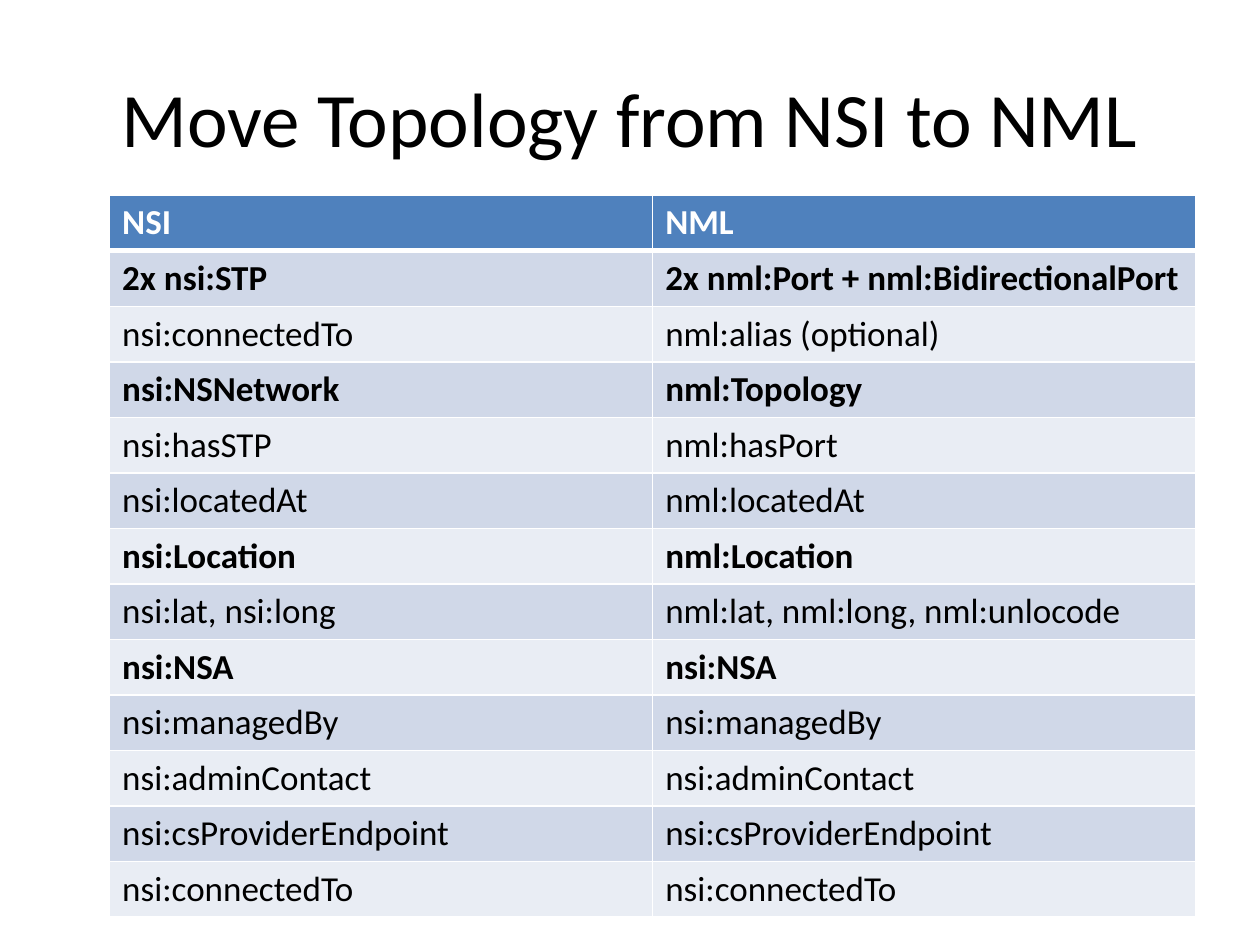
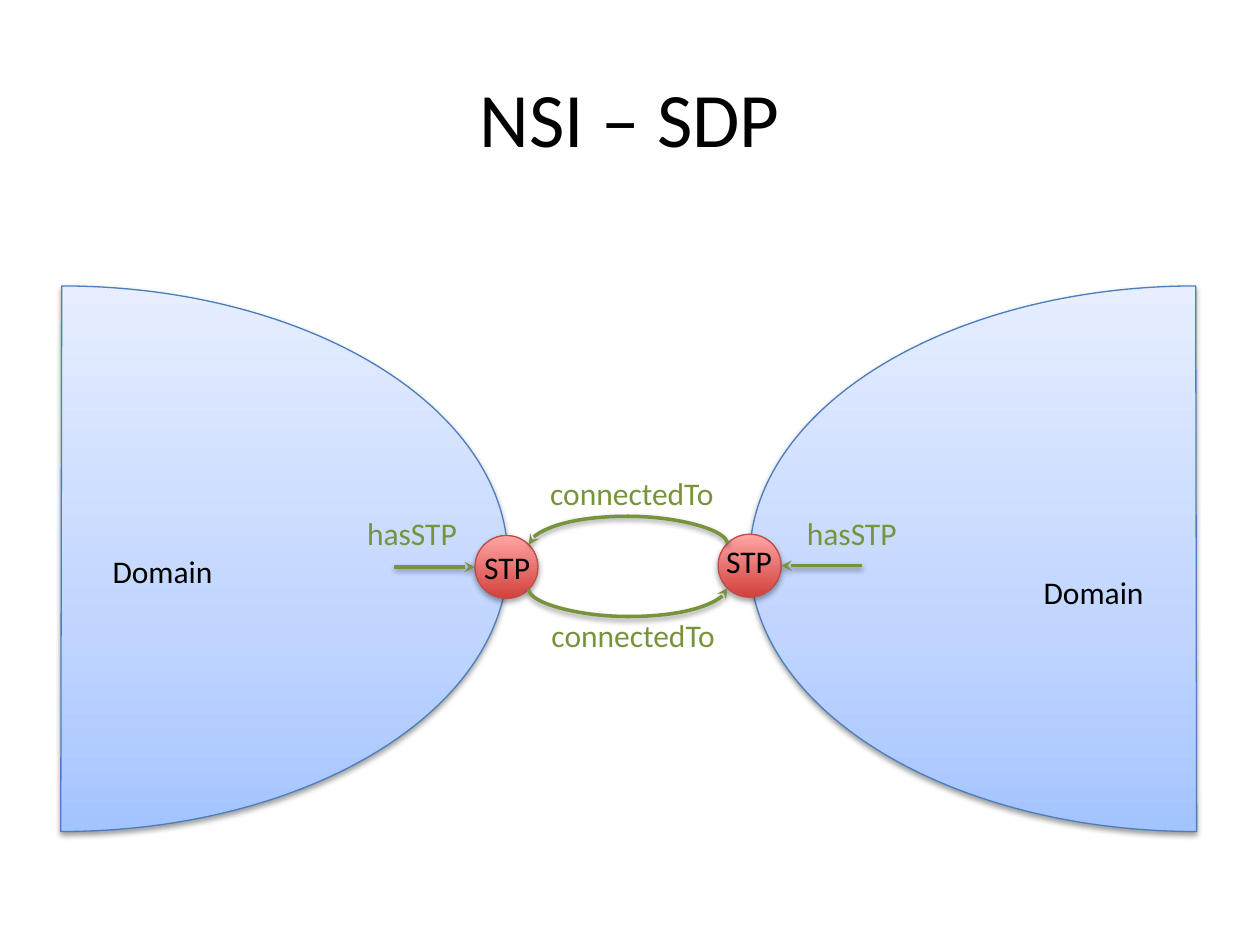
from copy import deepcopy
from dataclasses import dataclass
from math import sqrt

from lxml.etree import SubElement
from pptx import Presentation
from pptx.dml.color import RGBColor
from pptx.enum.shapes import MSO_CONNECTOR, MSO_SHAPE
from pptx.enum.text import MSO_ANCHOR, PP_ALIGN
from pptx.oxml.ns import qn
from pptx.util import Inches, Pt


@dataclass(frozen=True)
class Theme:
    font: str = "Calibri"
    title_size: int = 44
    table_size: int = 20
    label_size: int = 18
    text: str = "000000"
    white: str = "FFFFFF"
    header: str = "4F81BD"
    bands: tuple = ("D0D8E8", "E9EDF4")
    relation: str = "77933C"
    domain_fill: tuple = ((0, "A4C4FF"), (0.35, "BFD4FF"), (1, "E6EEFF"))
    domain_line: str = "4B7EBC"
    stp_fill: tuple = ((0, "D1403C"), (1, "FFA6A5"))
    stp_line: str = "BF4C48"


THEME = Theme()

# NSI term, NML term, whether the row names a class
MAPPING = [
    ("2x nsi:STP", "2x nml:Port + nml:BidirectionalPort", True),
    ("nsi:connectedTo", "nml:alias (optional)", False),
    ("nsi:NSNetwork", "nml:Topology", True),
    ("nsi:hasSTP", "nml:hasPort", False),
    ("nsi:locatedAt", "nml:locatedAt", False),
    ("nsi:Location", "nml:Location", True),
    ("nsi:lat, nsi:long", "nml:lat, nml:long, nml:unlocode", False),
    ("nsi:NSA", "nsi:NSA", True),
    ("nsi:managedBy", "nsi:managedBy", False),
    ("nsi:adminContact", "nsi:adminContact", False),
    ("nsi:csProviderEndpoint", "nsi:csProviderEndpoint", False),
    ("nsi:connectedTo", "nsi:connectedTo", False),
]

STP_SIZE = 0.5
DIAGONAL = STP_SIZE / 2 / sqrt(2)
# Connection sites of an ellipse, counted anticlockwise from the top
TOP_LEFT, LEFT, BOTTOM_LEFT, BOTTOM_RIGHT, RIGHT, TOP_RIGHT = 1, 2, 3, 5, 6, 7


def rgb(color):
    return RGBColor.from_string(color)


def write(frame, text, size=THEME.label_size, color=THEME.text, bold=False,
          align=PP_ALIGN.LEFT):
    paragraph = frame.paragraphs[0]
    paragraph.alignment = align
    run = paragraph.add_run()
    run.text = text
    run.font.name = THEME.font
    run.font.size = Pt(size)
    run.font.bold = bold
    run.font.color.rgb = rgb(color)


def add_label(slide, text, left, top, width, height=0.4, wrap=False, **style):
    box = slide.shapes.add_textbox(Inches(left), Inches(top), Inches(width), Inches(height))
    frame = box.text_frame
    frame.word_wrap = wrap
    write(frame, text, align=PP_ALIGN.CENTER, **style)
    return frame


def add_titled_slide(deck, title):
    slide = deck.slides.add_slide(deck.slide_layouts[6])
    frame = add_label(slide, title, 0.5, 0.3, 9, 1.25, wrap=True, size=THEME.title_size)
    frame.vertical_anchor = MSO_ANCHOR.MIDDLE
    return slide


def add_shadow(shape, distance=20000, opacity=38):
    properties = shape._element.spPr
    effects = properties.find(qn("a:effectLst"))
    if effects is None:
        effects = SubElement(properties, qn("a:effectLst"))
    shadow = SubElement(effects, qn("a:outerShdw"), blurRad="40000",
                        dist=str(distance), dir="5400000", rotWithShape="0")
    black = SubElement(shadow, qn("a:srgbClr"), val="000000")
    SubElement(black, qn("a:alpha"), val=str(opacity * 1000))


def add_gradient_shape(slide, kind, box, stops, line, **shadow):
    """Add a preset shape whose gradient runs from bottom to top."""
    shape = slide.shapes.add_shape(kind, *map(Inches, box))
    shape.fill.gradient()
    shape.fill.gradient_angle = 90
    stop_list = next(shape._element.spPr.iter(qn("a:gsLst")))
    while len(stop_list) < len(stops):
        stop_list.append(deepcopy(stop_list[0]))
    for stop, (position, color) in zip(shape.fill.gradient_stops, stops):
        stop.position = position
        stop.color.rgb = rgb(color)
    shape.line.color.rgb = rgb(line)
    shape.line.width = Pt(0.75)
    shape.shadow.inherit = False
    add_shadow(shape, **shadow)
    return shape


def add_domain(slide, left, mirrored=False):
    domain = add_gradient_shape(slide, MSO_SHAPE.CHORD, (left, 2.27, 7.08, 4.33),
                                THEME.domain_fill, THEME.domain_line)
    domain.adjustments[0] = 53.88
    domain.adjustments[1] = 162
    if mirrored:
        domain._element.spPr.xfrm.set("flipH", "1")


def add_stp(slide, center):
    x, y = center
    box = (x - STP_SIZE / 2, y - STP_SIZE / 2, STP_SIZE, STP_SIZE)
    return add_gradient_shape(slide, MSO_SHAPE.OVAL, box, THEME.stp_fill,
                              THEME.stp_line, distance=23000, opacity=35)


def add_arrow(slide, kind, start, end, glue):
    """Add an arrow; glue maps stCxn or endCxn to a shape and its site."""
    arrow = slide.shapes.add_connector(kind, *map(Inches, (*start, *end)))
    arrow.line.color.rgb = rgb(THEME.relation)
    arrow.line.width = Pt(2)
    SubElement(arrow.line._get_or_add_ln(), qn("a:tailEnd"), type="stealth")
    add_shadow(arrow)
    links = next(arrow._element.iter(qn("p:cNvCxnSpPr")))
    for tag, (shape, site) in glue.items():
        SubElement(links, qn(f"a:{tag}"), id=str(shape.shape_id), idx=str(site))
    return arrow


def add_arc(slide, start, end, turn, glue, bulge=0.22):
    """Add a curved arrow: the box stands upright and is turned by 90 or 270 degrees."""
    (x1, y1), (x2, y2) = start, end
    width, height = abs(y2 - y1), abs(x2 - x1)
    left, top = (x1 + x2 - width) / 2, (y1 + y2 - height) / 2
    arc = add_arrow(slide, MSO_CONNECTOR.CURVE, (left, top),
                    (left + width, top + height), glue)
    properties = arc._element.spPr
    for name, value in (("rot", turn * 60000), ("flipH", 1), ("flipV", 1)):
        properties.xfrm.set(name, str(value))
    guides = next(properties.iter(qn("a:avLst")))
    SubElement(guides, qn("a:gd"), name="adj1",
               fmla=f"val {round(-bulge / width * 100000)}")


def style_cell(cell, fill, bottom=1):
    cell.fill.solid()
    cell.fill.fore_color.rgb = rgb(fill)
    properties = cell._tc.get_or_add_tcPr()
    sides = (("lnL", 1), ("lnR", 1), ("lnT", 1), ("lnB", bottom))
    for index, (side, width) in enumerate(sides):
        border = SubElement(properties, qn(f"a:{side}"), w=str(Pt(width)))
        solid = SubElement(border, qn("a:solidFill"))
        SubElement(solid, qn("a:srgbClr"), val=THEME.white)
        properties.insert(index, border)


def add_mapping_table(slide):
    rows = [("NSI", "NML", True), *MAPPING]
    table = slide.shapes.add_table(len(rows), 2, Inches(0.87), Inches(1.55),
                                   Inches(8.62), Inches(5.73)).table
    for index, (nsi, nml, bold) in enumerate(rows):
        is_header = index == 0
        fill = THEME.header if is_header else THEME.bands[(index - 1) % 2]
        for cell, term in zip(table.rows[index].cells, (nsi, nml)):
            style_cell(cell, fill, bottom=3 if is_header else 1)
            write(cell.text_frame, term, size=THEME.table_size, bold=bold,
                  color=THEME.white if is_header else THEME.text)


def add_sdp_diagram(slide):
    add_domain(slide, 5.95)
    add_domain(slide, -3.05, mirrored=True)
    left_x, left_y = left_center = (4.02, 4.5)
    right_x, right_y = right_center = (5.95, 4.49)
    left_stp = add_stp(slide, left_center)
    right_stp = add_stp(slide, right_center)

    for text, left, top, width in (("Domain", 0.79, 4.33, 1), ("Domain", 8.18, 4.5, 1),
                                   ("STP", 5.66, 4.25, 0.57), ("STP", 3.74, 4.3, 0.57)):
        add_label(slide, text, left, top, width)
    for text, left, top, width in (("connectedTo", 4.26, 3.71, 1.51),
                                   ("connectedTo", 4.27, 4.84, 1.51),
                                   ("hasSTP", 2.81, 4.03, 0.92),
                                   ("hasSTP", 6.3, 4.03, 0.92)):
        add_label(slide, text, left, top, width, color=THEME.relation)

    inner_left, inner_right = left_x + DIAGONAL, right_x - DIAGONAL
    add_arc(slide, (inner_right, right_y - DIAGONAL), (inner_left, left_y - DIAGONAL), 270,
            {"stCxn": (right_stp, TOP_LEFT), "endCxn": (left_stp, TOP_RIGHT)})
    add_arc(slide, (inner_left, left_y + DIAGONAL), (inner_right, right_y + DIAGONAL), 90,
            {"stCxn": (left_stp, BOTTOM_RIGHT), "endCxn": (right_stp, BOTTOM_LEFT)})
    for stp, site, (x, y), side in ((right_stp, RIGHT, right_center, 1),
                                    (left_stp, LEFT, left_center, -1)):
        edge = x + side * STP_SIZE / 2
        add_arrow(slide, MSO_CONNECTOR.STRAIGHT, (edge + side * 0.64, y), (edge, y),
                  {"endCxn": (stp, site)})


def main():
    deck = Presentation()
    deck.slide_width, deck.slide_height = Inches(10), Inches(7.5)
    add_mapping_table(add_titled_slide(deck, "Move Topology from NSI to NML"))
    add_sdp_diagram(add_titled_slide(deck, "NSI – SDP"))
    deck.save("out.pptx")


if __name__ == "__main__":
    main()
